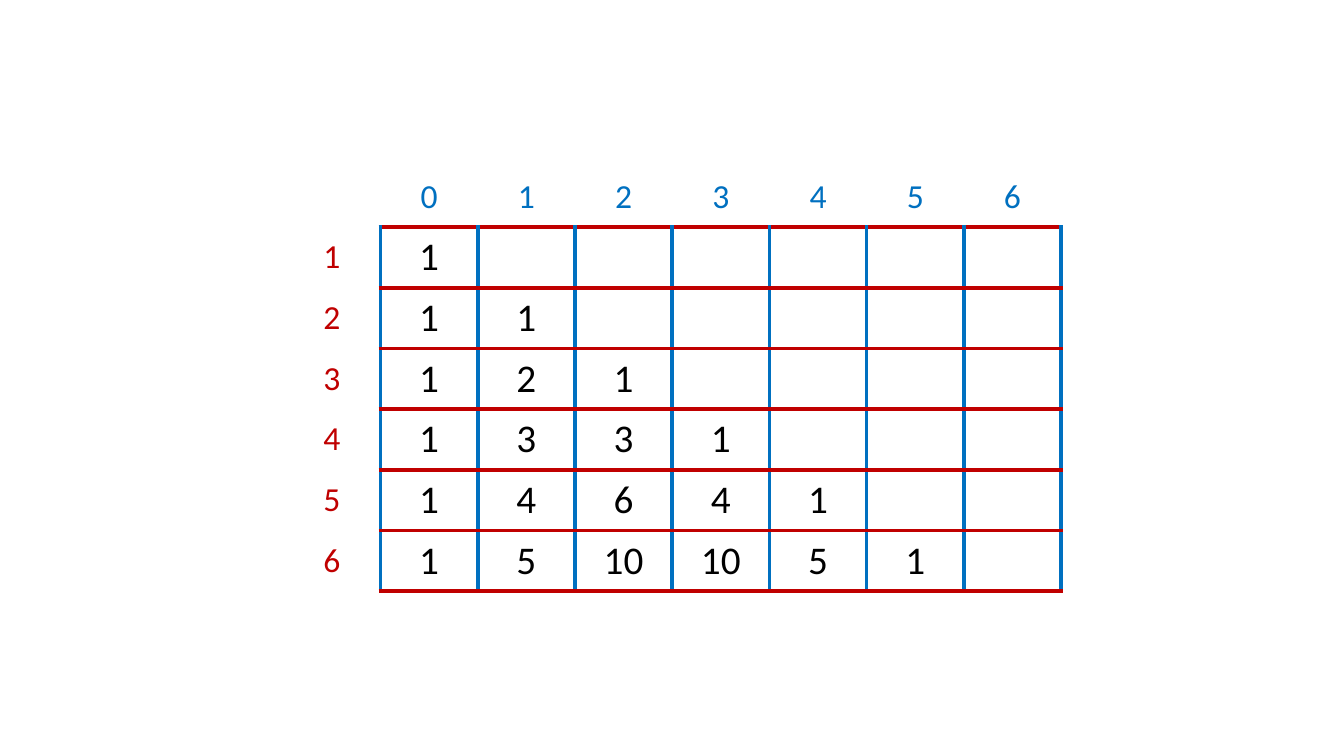
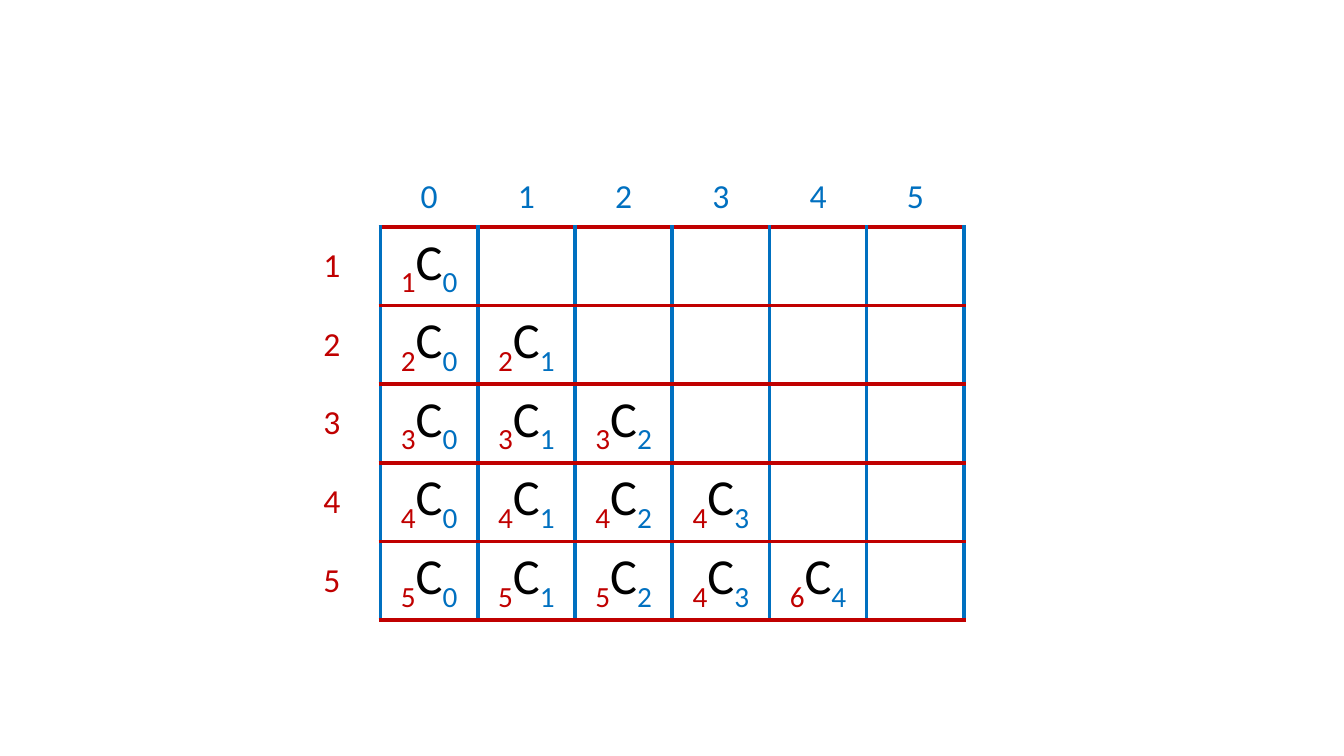
from dataclasses import dataclass
from math import comb

from lxml.etree import SubElement
from pptx import Presentation
from pptx.dml.color import RGBColor as Color
from pptx.enum.text import MSO_ANCHOR as Anchor, PP_ALIGN as Align
from pptx.oxml.ns import qn
from pptx.util import Cm, Pt


@dataclass(frozen=True)
class Theme:
    font: str = "Calibri"
    column: str = "0070C0"
    row: str = "C00000"
    ink: str = "000000"
    label_size: int = 24
    number_size: int = 28
    symbol_size: int = 36
    border: int = 3
    plain_table: str = "{2D5ABB26-0587-4C30-8999-92F81FD0307C}"


THEME = Theme()
LEFT, TOP = 7.14, 4.19
COLUMN_WIDTH, HEADER_HEIGHT = 2.45, 1.53
EDGES = {"L": THEME.column, "R": THEME.column, "T": THEME.row, "B": THEME.row}


class Deck:
    def __init__(self, theme):
        self.theme = theme
        self.deck = Presentation()
        self.deck.slide_width, self.deck.slide_height = Cm(33.87), Cm(19.05)
        self.page = None

    def add_page(self):
        self.page = self.deck.slides.add_slide(self.deck.slide_layouts[6])

    def fill_text(self, cell, size, spans):
        cell.vertical_anchor = Anchor.MIDDLE
        para = cell.text_frame.paragraphs[0]
        para.alignment = Align.CENTER
        para.font.name, para.font.size = self.theme.font, Pt(size)
        for text, color, baseline in spans:
            span = para.add_run()
            span.text = str(text)
            span.font.color.rgb = Color.from_string(color)
            if baseline:
                span._r.get_or_add_rPr().set("baseline", str(baseline * 1000))

    def frame(self, cell, sides):
        properties = cell._tc.get_or_add_tcPr()
        for side in sides:
            line = SubElement(properties, qn(f"a:ln{side}"), w=str(Pt(self.theme.border)))
            fill = SubElement(line, qn("a:solidFill"))
            SubElement(fill, qn("a:srgbClr"), val=EDGES[side])
        cell.fill.background()

    def add_triangle(self, rows, columns, row_height, size, entry):
        height = HEADER_HEIGHT + rows * row_height
        table = self.page.shapes.add_table(
            rows + 1, columns + 1, Cm(LEFT), Cm(TOP),
            Cm((columns + 1) * COLUMN_WIDTH), Cm(height),
        ).table
        table.first_row = table.horz_banding = False
        table._tbl.tblPr.find(qn("a:tableStyleId")).text = self.theme.plain_table
        for column in table.columns:
            column.width = Cm(COLUMN_WIDTH)
        for index, row in enumerate(table.rows):
            row.height = Cm(row_height if index else HEADER_HEIGHT)

        self.frame(table.cell(0, 0), "")
        for k in range(columns):
            header = table.cell(0, k + 1)
            self.frame(header, "B")
            self.fill_text(header, self.theme.label_size, [(k, self.theme.column, 0)])
        for n in range(1, rows + 1):
            label = table.cell(n, 0)
            self.frame(label, "R")
            self.fill_text(label, self.theme.label_size, [(n, self.theme.row, 0)])
            for k in range(columns):
                cell = table.cell(n, k + 1)
                self.frame(cell, "LRTB")
                if k < n:
                    self.fill_text(cell, size, entry(n, k))


def number(n, k):
    return [(comb(n - 1, k), THEME.ink, 0)]


def symbol(n, k):
    upper = {(5, 3): 4, (5, 4): 6}.get((n, k), n)
    return [(upper, THEME.row, -25), ("C", THEME.ink, 0), (k, THEME.column, -25)]


show = Deck(THEME)
show.add_page()
show.add_triangle(6, 7, 1.53, THEME.number_size, number)
show.add_page()
show.add_triangle(5, 6, 1.98, THEME.symbol_size, symbol)
show.deck.save("out.pptx")
